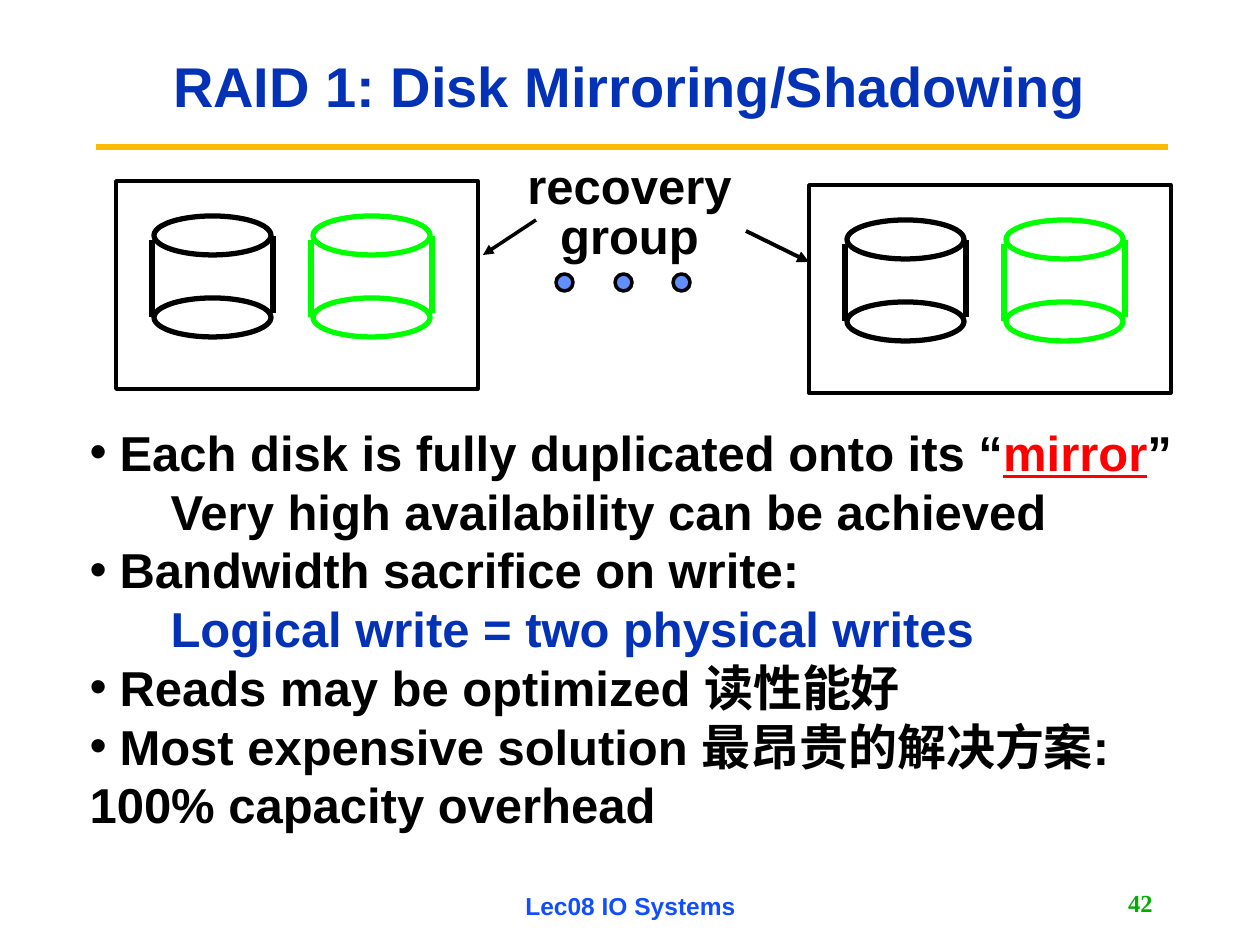
from dataclasses import dataclass

from lxml import etree
from pptx import Presentation
from pptx.dml.color import RGBColor
from pptx.enum import shapes, text
from pptx.oxml import ns
from pptx.util import Emu, Pt

PX_PER_INCH = 126


@dataclass(frozen=True)
class Theme:
    font: str = "Arial"
    number_font: str = "Times New Roman"
    title_size: int = 32
    body_size: int = 28
    footer_size: int = 14
    body_pitch: float = 33.6
    ink: str = "000000"
    blue: str = "0332B7"
    red: str = "FF0000"
    gold: str = "FBBA03"
    mirror: str = "00FF00"
    disk_fill: str = "FFFFFF"
    dot: str = "618FFD"
    footer: str = "114FFB"
    number: str = "00AE00"


THEME = Theme()


def px(value):
    return Emu(round(value * 914400 / PX_PER_INCH))


def rgb(color):
    return RGBColor.from_string(color)


def place(shape, left, top, width, height):
    shape.left, shape.top = px(left), px(top)
    shape.width, shape.height = px(width), px(height)


def style(font, size, color, name=THEME.font):
    font.name, font.size, font.bold = name, Pt(size), True
    font.color.rgb = rgb(color)


def add_outline(slide, kind, box, color, weight, fill=None):
    outline = slide.shapes.add_shape(kind, *map(px, box))
    outline.shadow.inherit = False
    if fill:
        outline.fill.solid()
        outline.fill.fore_color.rgb = rgb(fill)
    else:
        outline.fill.background()
    outline.line.color.rgb = rgb(color)
    outline.line.width = Pt(weight)


def add_line(slide, start, end, color, weight, arrow=False):
    line = slide.shapes.add_connector(
        shapes.MSO_CONNECTOR.STRAIGHT, *map(px, (*start, *end)))
    line.line.color.rgb = rgb(color)
    line.line.width = Pt(weight)
    if arrow:
        etree.SubElement(line.line._get_or_add_ln(), ns.qn("a:tailEnd"), type="triangle")
    etree.SubElement(line._element.spPr, ns.qn("a:effectLst"))


def add_label(slide, box, wording, size, color, align, name=THEME.font,
              anchor=text.MSO_ANCHOR.MIDDLE, spacing=None):
    label = slide.shapes.add_textbox(*map(px, box))
    frame = label.text_frame
    frame.word_wrap = True
    frame.vertical_anchor = anchor
    frame.text = wording
    for paragraph in frame.paragraphs:
        paragraph.alignment = align
        paragraph.line_spacing = spacing
        style(paragraph.runs[0].font, size, color, name)


def add_disk(slide, left, top, color):
    # Top and bottom faces, then the two sides
    for face_top in (top, top + 82):
        add_outline(slide, shapes.MSO_SHAPE.OVAL, (left, face_top, 117, 39),
                    color, 3, THEME.disk_fill)
    for x, y in ((left - 2, top + 24), (left + 119, top + 20)):
        add_line(slide, (x, y), (x, y + 77), color, 3)


def add_recovery_group(slide, left, top):
    add_disk(slide, left + 38, top + 35, THEME.ink)
    add_disk(slide, left + 197, top + 35, THEME.mirror)
    add_outline(slide, shapes.MSO_SHAPE.RECTANGLE, (left, top, 362, 208), THEME.ink, 2)


def set_marker(paragraph, bulleted, indent):
    properties = paragraph._p.get_or_add_pPr()
    properties.set("marL", str(px(indent)))
    properties.set("indent", str(px(-indent) if bulleted else 0))
    if bulleted:
        etree.SubElement(properties, ns.qn("a:buChar"), char="•")
    else:
        etree.SubElement(properties, ns.qn("a:buNone"))


def fill_title(slide, wording):
    title = slide.shapes.title
    place(title, 0, 6, 1259, 158)
    title.text_frame.text = wording
    title.text_frame.vertical_anchor = text.MSO_ANCHOR.MIDDLE
    heading = title.text_frame.paragraphs[0]
    heading.alignment = text.PP_ALIGN.CENTER
    style(heading.runs[0].font, THEME.title_size, THEME.blue)


def fill_points(slide, points):
    body = slide.placeholders[1]
    place(body, 77, 416, 1150, 425)
    frame = body.text_frame
    frame.word_wrap = True
    frame.auto_size = text.MSO_AUTO_SIZE.NONE
    frame.vertical_anchor = text.MSO_ANCHOR.TOP
    for index, (bulleted, indent, pieces) in enumerate(points):
        point = frame.paragraphs[0] if index == 0 else frame.add_paragraph()
        set_marker(point, bulleted, indent)
        point.alignment = text.PP_ALIGN.LEFT
        point.space_before = Pt(0)
        point.line_spacing = Pt(THEME.body_pitch)
        for wording, color in pieces:
            run = point.add_run()
            run.text = wording
            style(run.font, THEME.body_size, color)
            run.font.underline = True if color == THEME.red else None


def main():
    deck = Presentation()
    deck.slide_width, deck.slide_height = px(1260), px(945)
    slide = deck.slides.add_slide(deck.slide_layouts[1])
    ink = THEME.ink

    # Heading and rule
    fill_title(slide, "RAID 1: Disk Mirroring/Shadowing")
    add_line(slide, (96, 147), (1168, 147), THEME.gold, 3.75)

    # Mirrored disk pairs
    for left, top in ((809, 185), (116, 181)):
        add_recovery_group(slide, left, top)

    # Key points: bulleted, indent, coloured pieces
    fill_points(slide, [
        (True, 30, [("Each disk is fully duplicated onto its “", ink),
                    ("mirror", THEME.red), ("”", ink)]),
        (False, 81, [("Very high availability can be achieved", ink)]),
        (True, 30, [("Bandwidth sacrifice on write:", ink)]),
        (False, 81, [("Logical write = two physical writes", THEME.blue)]),
        (True, 30, [("Reads may be optimized 读性能好", ink)]),
        (True, 30, [("Most expensive solution 最昂贵的解决方案:", ink)]),
        (False, 0, [("100% capacity overhead", ink)]),
    ])

    # Recovery group caption with its dots and arrows
    for left in (556, 615, 673):
        add_outline(slide, shapes.MSO_SHAPE.OVAL, (left, 274, 17, 17), ink, 2, THEME.dot)
    add_label(slide, (515, 158, 229, 112), "recovery\ngroup", THEME.body_size, ink,
              text.PP_ALIGN.CENTER, anchor=text.MSO_ANCHOR.TOP, spacing=0.85)
    add_line(slide, (536, 220), (483, 255), ink, 2, arrow=True)
    add_line(slide, (746, 231), (809, 262), ink, 2.25, arrow=True)

    # Footer
    add_label(slide, (431, 886, 399, 39), "Lec08 IO Systems", THEME.footer_size,
              THEME.footer, text.PP_ALIGN.CENTER)
    add_label(slide, (903, 883, 262, 40), "42", THEME.footer_size, THEME.number,
              text.PP_ALIGN.RIGHT, THEME.number_font)

    deck.save("out.pptx")


if __name__ == "__main__":
    main()
